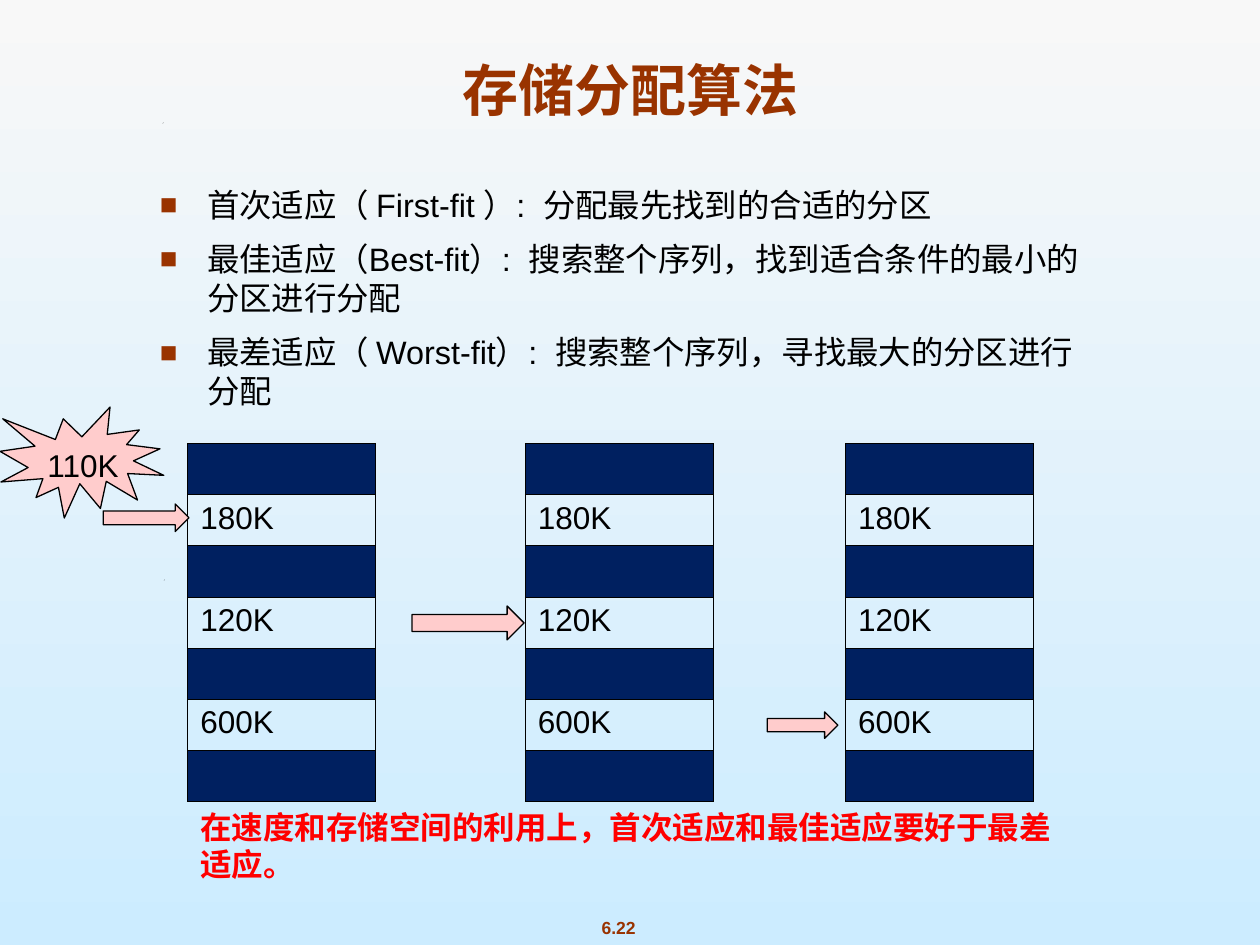
from pptx import Presentation
from pptx.dml.color import RGBColor
from pptx.enum.shapes import MSO_SHAPE as Shape
from pptx.enum.text import MSO_ANCHOR as Anchor, MSO_AUTO_SIZE as AutoSize, PP_ALIGN as Align
from pptx.oxml import parse_xml
from pptx.oxml.ns import nsdecls
from pptx.util import Pt

BROWN, NAVY, PINK, RED, BLACK = "993300", "002060", "FFCCCC", "FF0000", "000000"
TABLE_WIDTH, TABLE_TOP, ROW_HEIGHT = 107.3, 253.5, 29.2
TABLE_LEFTS = (107.3, 300.2, 483.1)
PARTITIONS = ("", "180K", "", "120K", "", "600K", "")
ARROWS = ((59, 288, 49, 15.8), (235.4, 346.3, 64.1, 19.4), (438.5, 406.8, 40.3, 15.1))
SPECKS = ((126.7, 391), (93.6, 331.2), (406.8, 331.4), (92.9, 70))
ALGORITHMS = (
    "首次适应（ First-fit ）:  分配最先找到的合适的分区",
    "最佳适应（Best-fit）:  搜索整个序列，找到适合条件的最小的分区进行分配",
    "最差适应（ Worst-fit）:  搜索整个序列，寻找最大的分区进行分配",
)


def color(value):
    return RGBColor.from_string(value)


def add_run(para, text, size, ink=BLACK, bold=False):
    span = para.add_run()
    span.text = text
    span.font.name = "Arial"
    span.font.size = Pt(size)
    span.font.bold = bold
    span.font.color.rgb = color(ink)


def place(box, left, top, width, height):
    box.left, box.top, box.width, box.height = map(Pt, (left, top, width, height))


def set_frame(box, anchor, wrap=True):
    frame = box.text_frame
    frame.word_wrap = wrap
    frame.auto_size = AutoSize.NONE
    frame.vertical_anchor = anchor
    return frame


def set_background(page):
    fill = page.background.fill
    fill.gradient()
    fill.gradient_angle = 270
    for stop, value in zip(fill.gradient_stops, ("F8F8F8", "CCECFF")):
        stop.color.rgb = color(value)


def add_speck(page, left, top):
    builder = page.shapes.build_freeform(Pt(left), Pt(top + 0.5))
    builder.add_line_segments([(Pt(left + 0.5), Pt(top)), (Pt(left + 0.3), Pt(top + 0.5))])
    speck = builder.convert_to_shape()
    speck.shadow.inherit = False
    speck.fill.solid()
    speck.fill.fore_color.rgb = color(BLACK)
    speck.line.fill.background()


def add_text(page, bounds, text, size, ink, align, wrap=True):
    box = page.shapes.add_textbox(*map(Pt, bounds))
    para = set_frame(box, Anchor.MIDDLE, wrap).paragraphs[0]
    para.alignment = align
    add_run(para, text, size, ink, True)


def fill_title(page):
    title = page.shapes.title
    place(title, 94.3, 28.1, 532.1, 19.4)
    para = set_frame(title, Anchor.TOP).paragraphs[0]
    para.alignment = Align.CENTER
    add_run(para, "存储分配算法", 32, BROWN, True)


def add_bullet(para):
    props = para._p.get_or_add_pPr()
    props.set("marL", str(Pt(27)))
    props.set("indent", str(Pt(-27)))
    for markup in (
        f'<a:buClr {nsdecls("a")}><a:srgbClr val="{BROWN}"/></a:buClr>',
        f'<a:buSzPct {nsdecls("a")} val="90000"/>',
        f'<a:buFont {nsdecls("a")} typeface="Arial"/>',
        f'<a:buChar {nsdecls("a")} char="■"/>',
    ):
        props.append(parse_xml(markup))


def fill_body(page):
    body = page.placeholders[1]
    place(body, 84.2, 102.2, 547.2, 139.7)
    frame = set_frame(body, Anchor.TOP)
    for index, text in enumerate(ALGORITHMS):
        para = frame.add_paragraph() if index else frame.paragraphs[0]
        add_bullet(para)
        para.space_before = Pt(8.8 if index else 0)
        add_run(para, text, 18.5)


def add_borders(cell):
    props = cell._tc.get_or_add_tcPr()
    for side in "LRTB":
        props.append(parse_xml(
            f'<a:ln{side} {nsdecls("a")} w="{Pt(0.45)}"><a:solidFill>'
            f'<a:srgbClr val="{BLACK}"/></a:solidFill></a:ln{side}>'))


def add_memory(page, left):
    count = len(PARTITIONS)
    bounds = (left, TABLE_TOP, TABLE_WIDTH, ROW_HEIGHT * count)
    table = page.shapes.add_table(count, 1, *map(Pt, bounds)).table
    table.first_row = table.horz_banding = False
    for index, size in enumerate(PARTITIONS):
        table.rows[index].height = Pt(ROW_HEIGHT)
        cell = table.cell(index, 0)
        add_borders(cell)
        if size:
            cell.fill.background()
            add_run(cell.text_frame.paragraphs[0], size, 18)
        else:
            cell.fill.solid()
            cell.fill.fore_color.rgb = color(NAVY)


def add_pink_shape(page, kind, bounds):
    shape = page.shapes.add_shape(kind, *map(Pt, bounds))
    shape.shadow.inherit = False
    shape.fill.solid()
    shape.fill.fore_color.rgb = color(PINK)
    shape.line.color.rgb = color(BLACK)
    shape.line.width = Pt(0.75)
    return shape


def add_request(page):
    burst = add_pink_shape(page, Shape.EXPLOSION1, (0, 232.6, 93.6, 63.4))
    para = set_frame(burst, Anchor.TOP, False).paragraphs[0]
    para.alignment = Align.LEFT
    add_run(para, "110K", 18)


def main():
    deck = Presentation()
    deck.slide_width, deck.slide_height = Pt(720), Pt(540)
    page = deck.slides.add_slide(deck.slide_layouts[1])
    set_background(page)
    add_text(page, (318.2, 520.6, 70.6, 19.4), "6.22", 10, BROWN, Align.CENTER, False)
    for left, top in SPECKS:
        add_speck(page, left, top)
    fill_title(page)
    fill_body(page)
    add_text(page, (107.3, 457.9, 514.1, 50.4),
             "在速度和存储空间的利用上，首次适应和最佳适应要好于最差适应。", 18, RED, Align.LEFT)
    for left in TABLE_LEFTS:
        add_memory(page, left)
    for bounds in ARROWS:
        add_pink_shape(page, Shape.RIGHT_ARROW, bounds)
    add_request(page)
    deck.save("out.pptx")


if __name__ == "__main__":
    main()
